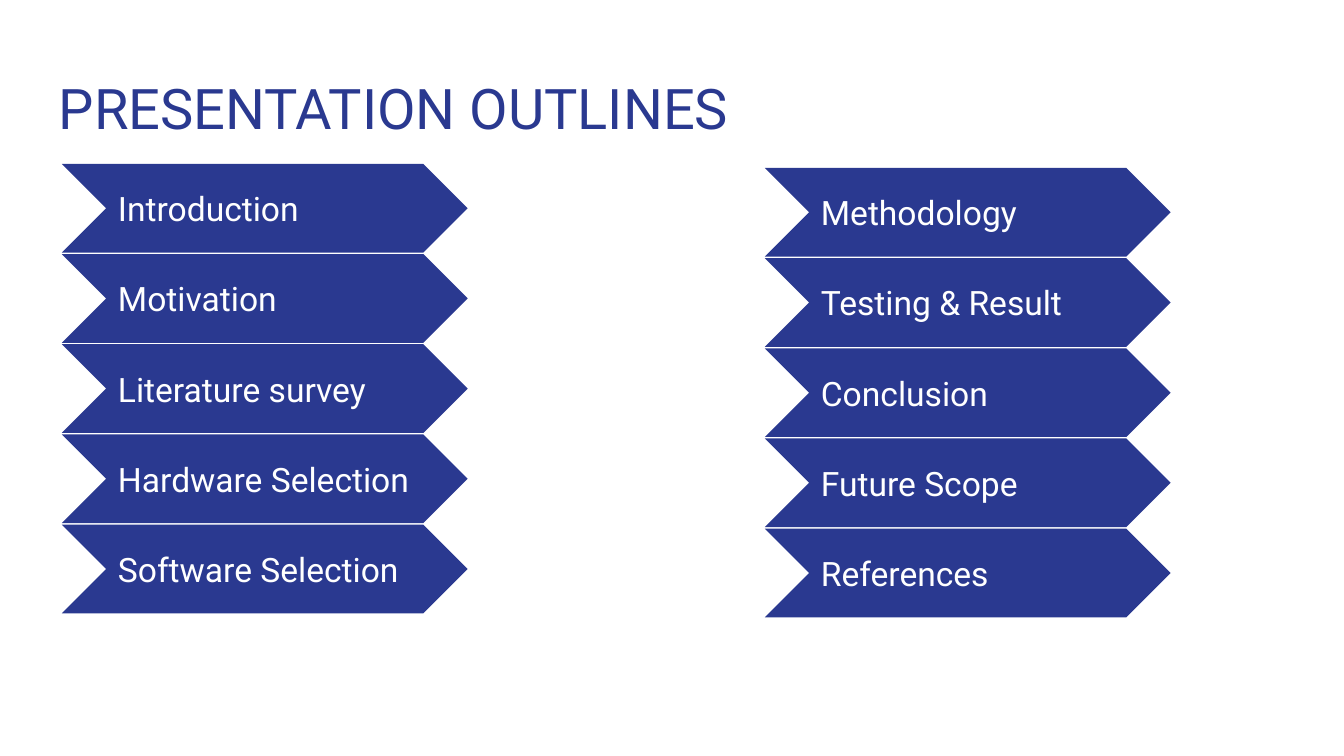
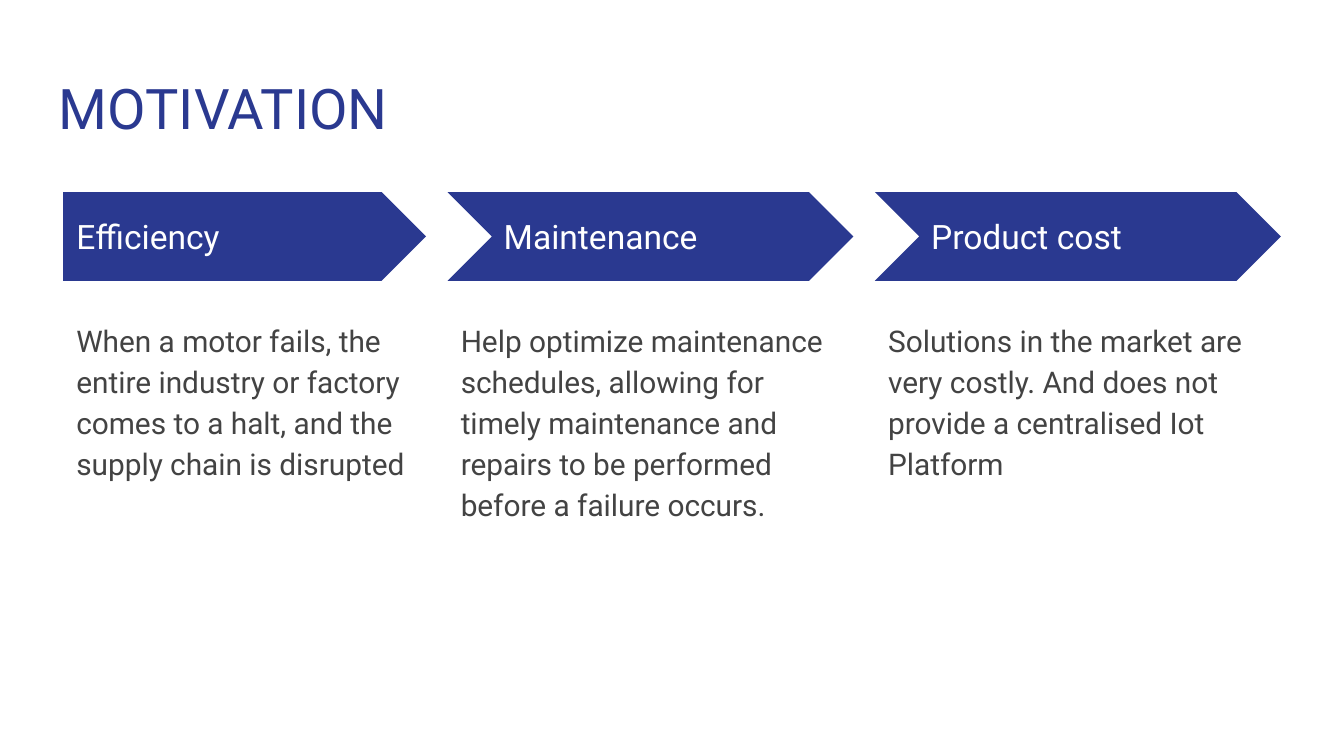
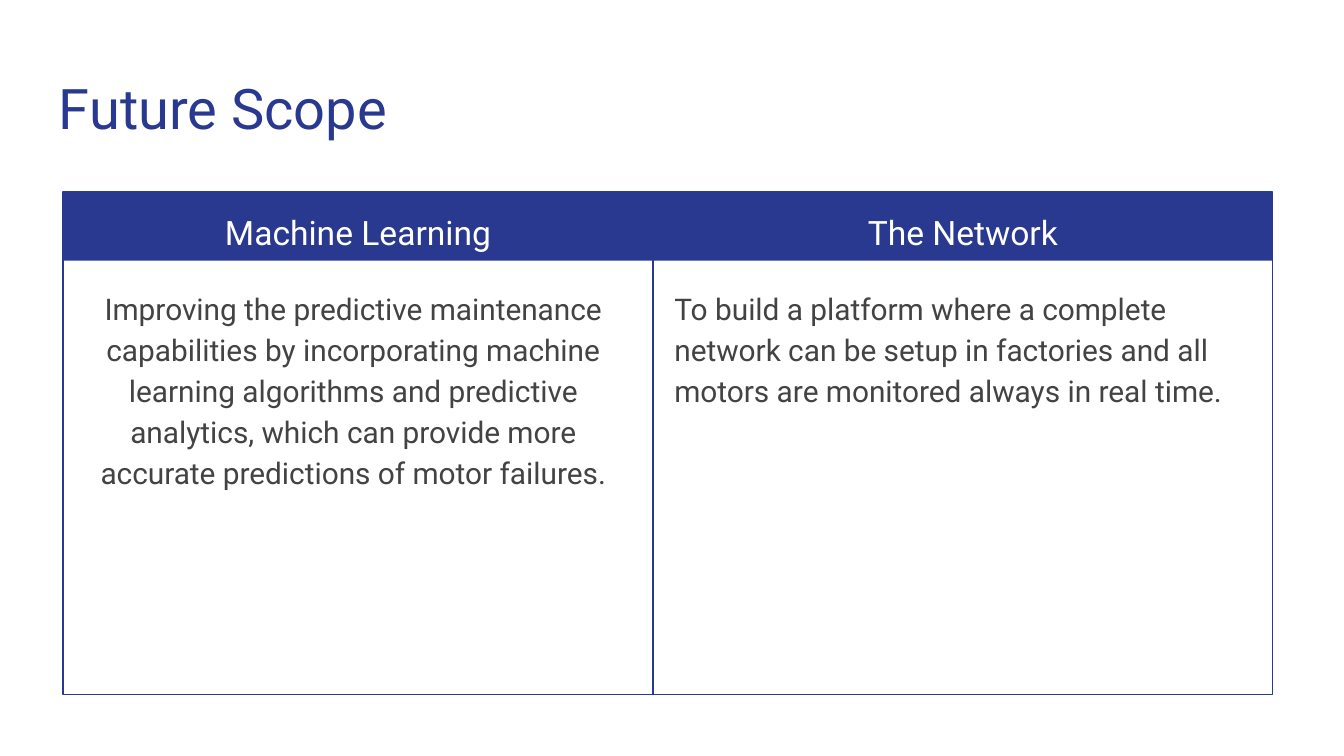
from dataclasses import dataclass
from typing import Optional

from pptx import Presentation
from pptx import util as u
from pptx.dml import color
from pptx.enum import shapes, text

COLORS = {"navy": "2A3990", "white": "FFFFFF", "body": "434343"}
FONT = "Roboto"
SLIDE_WIDTH = u.Inches(10)
SLIDE_HEIGHT = u.Inches(5.625)
COLUMN = SLIDE_WIDTH / 100
ROW = SLIDE_HEIGHT / 56.25

ARROW_WIDTH = 30.2
ARROW_HEIGHT = 6.6
NOTCH = 3.2
CONTENT_LEFT = 4.7
CONTENT_TOP = 14.3


@dataclass(frozen=True)
class Area:
    left: float
    top: float
    width: float
    height: float

    def lengths(self) -> tuple[int, int, int, int]:
        return (round(self.left * COLUMN), round(self.top * ROW),
                round(self.width * COLUMN), round(self.height * ROW))


@dataclass(frozen=True)
class TextStyle:
    size: int
    color: str
    anchor: text.MSO_ANCHOR = text.MSO_ANCHOR.TOP
    align: text.PP_ALIGN = text.PP_ALIGN.LEFT
    spacing: float = 1.0


@dataclass(frozen=True)
class OutlineColumn:
    left: float
    top: float
    topics: tuple[str, ...]


@dataclass(frozen=True)
class Reason:
    heading: str
    detail: str
    width: float = ARROW_WIDTH
    notch: float = NOTCH
    kind: shapes.MSO_SHAPE = shapes.MSO_SHAPE.CHEVRON


@dataclass(frozen=True)
class Panel:
    heading: str
    detail: str
    width: float
    detail_indent: float
    detail_width: float
    detail_style: TextStyle


TITLE = TextStyle(30, "navy")
ARROW_LABEL = TextStyle(18, "white", anchor=text.MSO_ANCHOR.MIDDLE)
PANEL_HEADING = TextStyle(18, "white", align=text.PP_ALIGN.CENTER, spacing=1.15)
DETAIL = TextStyle(16, "body", spacing=1.15)
CENTERED_DETAIL = TextStyle(16, "body", align=text.PP_ALIGN.CENTER, spacing=1.15)

OUTLINE = (
    OutlineColumn(4.6, 12.2, ("Introduction", "Motivation", "Literature survey",
                              "Hardware Selection", "Software Selection")),
    OutlineColumn(56.9, 12.5, ("Methodology", "Testing & Result", "Conclusion",
                               "Future Scope", "References")),
)

REASONS = (
    Reason("Efficiency",
           "When a motor fails, the entire industry or factory comes to a halt, "
           "and the supply chain is disrupted",
           width=27, notch=0, kind=shapes.MSO_SHAPE.PENTAGON),
    Reason("Maintenance",
           "Help optimize maintenance schedules, allowing for timely maintenance "
           "and repairs to be performed before a failure occurs."),
    Reason("Product cost",
           "Solutions in the market are very costly. And does not provide a "
           "centralised Iot Platform"),
)

PANELS = (
    Panel("Machine Learning",
          "Improving the predictive maintenance capabilities by incorporating "
          "machine learning algorithms and predictive analytics, which can provide "
          "more accurate predictions of motor failures.",
          43.9, 0.9, 41.4, CENTERED_DETAIL),
    Panel("The Network",
          "To build a platform where a complete network can be setup in factories "
          "and all motors are monitored always in real time.",
          46.1, 0.6, 44.7, DETAIL),
)


def rgb(name: str) -> color.RGBColor:
    return color.RGBColor.from_string(COLORS[name])


def add_text(page, area: Area, words: str, style: TextStyle) -> None:
    frame = page.shapes.add_textbox(*area.lengths()).text_frame
    frame.word_wrap = True
    frame.vertical_anchor = style.anchor
    frame.margin_left = frame.margin_right = u.Inches(0.1)
    frame.margin_top = frame.margin_bottom = u.Inches(0.1)
    para = frame.paragraphs[0]
    para.alignment = style.align
    para.line_spacing = style.spacing
    span = para.add_run()
    span.text = words
    span.font.name = FONT
    span.font.size = u.Pt(style.size)
    span.font.color.rgb = rgb(style.color)


def add_box(page, kind: shapes.MSO_SHAPE, area: Area,
            fill: Optional[str] = None, line: Optional[str] = None) -> None:
    box = page.shapes.add_shape(kind, *area.lengths())
    box.shadow.inherit = False
    if fill:
        box.fill.solid()
        box.fill.fore_color.rgb = rgb(fill)
    else:
        box.fill.background()
    if line:
        box.line.color.rgb = rgb(line)
        box.line.width = u.Pt(0.75)
    else:
        box.line.fill.background()


def add_arrow(page, left: float, top: float, label: str,
              width: float = ARROW_WIDTH, notch: float = NOTCH,
              kind: shapes.MSO_SHAPE = shapes.MSO_SHAPE.CHEVRON) -> None:
    add_box(page, kind, Area(left, top, width, ARROW_HEIGHT), fill="navy")
    add_text(page, Area(left + notch, top + 1.6, 24.7, 3.4), label, ARROW_LABEL)


def add_page(deck, title: str):
    page = deck.slides.add_slide(deck.slide_layouts[6])
    add_text(page, Area(3.4, 4.5, 93.2, 6.6), title, TITLE)
    return page


def build_outline(deck) -> None:
    page = add_page(deck, "PRESENTATION OUTLINES")
    pitch = 6.71
    for column in OUTLINE:
        for index, topic in enumerate(column.topics):
            add_arrow(page, column.left, column.top + index * pitch, topic)


def build_motivation(deck) -> None:
    page = add_page(deck, "MOTIVATION")
    left, gap = CONTENT_LEFT, 1.6
    for reason in REASONS:
        add_arrow(page, left, CONTENT_TOP, reason.heading,
                  reason.width, reason.notch, reason.kind)
        add_text(page, Area(left, 22.6, reason.width, 29), reason.detail, DETAIL)
        left += reason.width + gap


def build_future_scope(deck) -> None:
    page = add_page(deck, "Future Scope")
    left, band_height, heading_indent = CONTENT_LEFT, 5.1, 0.75
    for panel in PANELS:
        rectangle = shapes.MSO_SHAPE.RECTANGLE
        add_box(page, rectangle, Area(left, CONTENT_TOP, panel.width, band_height),
                fill="navy")
        add_box(page, rectangle, Area(left, CONTENT_TOP, panel.width, 37.4),
                line="navy")
        add_text(page, Area(left + heading_indent, CONTENT_TOP,
                            panel.width - 2 * heading_indent, 5),
                 panel.heading, PANEL_HEADING)
        add_text(page, Area(left + panel.detail_indent, 20.2,
                            panel.detail_width, 30.6),
                 panel.detail, panel.detail_style)
        left += panel.width


def main() -> None:
    deck = Presentation()
    deck.slide_width = SLIDE_WIDTH
    deck.slide_height = SLIDE_HEIGHT
    build_outline(deck)
    build_motivation(deck)
    build_future_scope(deck)
    deck.save("out.pptx")


if __name__ == "__main__":
    main()
